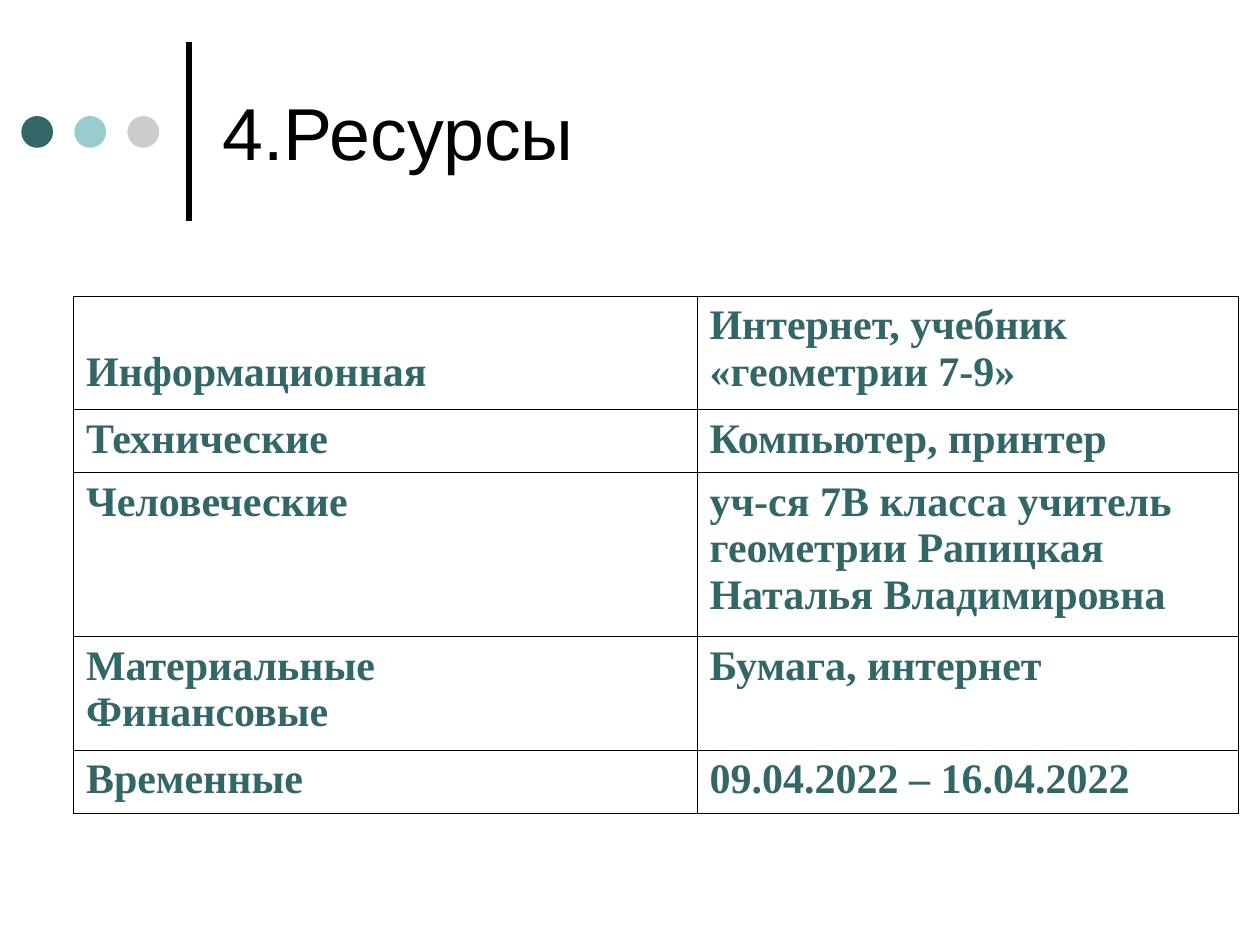
from lxml import etree
from pptx import Presentation
from pptx.dml.color import RGBColor
from pptx.enum.shapes import MSO_CONNECTOR, MSO_SHAPE
from pptx.enum.text import MSO_ANCHOR
from pptx.oxml.ns import qn
from pptx.util import Cm, Pt

STRAIGHT = MSO_CONNECTOR.STRAIGHT
OVAL = MSO_SHAPE.OVAL
TOP, MIDDLE, BOTTOM = MSO_ANCHOR.TOP, MSO_ANCHOR.MIDDLE, MSO_ANCHOR.BOTTOM

COLORS = {"black": "000000", "white": "FFFFFF", "teal": "336666",
          "aqua": "99CCCC", "gray": "CCCCCC"}


def rgb(name):
    return RGBColor.from_string(COLORS[name])


class SlideBuilder:
    """Adds styled elements to one slide."""

    title_font = "Arial"
    table_font = "Times New Roman"

    def __init__(self, slide):
        self.shapes = slide.shapes

    def style_text(self, tf, font, size, color, bold=False):
        for p in tf.paragraphs:
            for r in p.runs:
                r.font.name = font
                r.font.size = Pt(size)
                r.font.bold = bold
                r.font.color.rgb = rgb(color)

    def line(self, x1, y1, x2, y2, color, width):
        c = self.shapes.add_connector(STRAIGHT, Cm(x1), Cm(y1), Cm(x2), Cm(y2))
        c.line.color.rgb = rgb(color)
        c.line.width = Pt(width)
        etree.SubElement(c._element.spPr, qn("a:effectLst"))

    def dot(self, x, y, size, color):
        sp = self.shapes.add_shape(OVAL, Cm(x), Cm(y), Cm(size), Cm(size))
        sp.shadow.inherit = False
        sp.fill.solid()
        sp.fill.fore_color.rgb = rgb(color)
        sp.line.fill.background()

    def title(self, text, x, y, w, h):
        tf = self.shapes.add_textbox(Cm(x), Cm(y), Cm(w), Cm(h)).text_frame
        tf.word_wrap = True
        tf.vertical_anchor = MIDDLE
        tf.text = text
        self.style_text(tf, self.title_font, 42, "black")

    def borders(self, cell, color, width):
        tcPr = cell._tc.get_or_add_tcPr()
        for side in ("lnL", "lnR", "lnT", "lnB"):
            ln = etree.SubElement(tcPr, qn(f"a:{side}"), w=str(Pt(width)))
            fill = etree.SubElement(ln, qn("a:solidFill"))
            etree.SubElement(fill, qn("a:srgbClr"), val=COLORS[color])

    def table(self, rows, x, y, widths, heights):
        frame = self.shapes.add_table(len(rows), len(widths), Cm(x), Cm(y),
                                      Cm(sum(widths)), Cm(sum(heights)))
        table = frame.table
        table.first_row = table.horz_banding = False
        for column, width in zip(table.columns, widths):
            column.width = Cm(width)
        for row, height, texts in zip(table.rows, heights, rows):
            row.height = Cm(height)
            for cell, text in zip(row.cells, texts):
                self.borders(cell, "black", 0.45)
                cell.fill.solid()
                cell.fill.fore_color.rgb = rgb("white")
                cell.vertical_anchor = TOP
                cell.text_frame.text = text
                self.style_text(cell.text_frame, self.table_font, 24, "teal", True)
        return table


prs = Presentation()
prs.slide_width, prs.slide_height = Cm(25.4), Cm(19.05)
s = SlideBuilder(prs.slides.add_slide(prs.slide_layouts[6]))

s.line(3.81, 4.45, 3.81, 0.84, "black", 3)
for i, color in enumerate(("teal", "aqua", "gray")):
    s.dot(0.43 + 1.07 * i, 2.34, 0.64, color)
s.title("4.Ресурсы", 4.24, 0.53, 19.48, 4.24)

resources = [
    ("Информационная", "Интернет, учебник «геометрии 7-9»"),
    ("Технические", "Компьютер, принтер"),
    ("Человеческие", "уч-ся 7В класса учитель геометрии Рапицкая Наталья Владимировна"),
    ("Материальные\nФинансовые", "Бумага, интернет"),
    ("Временные", "09.04.2022 – 16.04.2022"),
]
table = s.table(resources, 1.48, 5.97, (12.57, 10.92), (2.29, 1.27, 3.3, 2.29, 1.27))
info_cell = table.cell(0, 0)
info_cell.vertical_anchor = BOTTOM
info_cell.margin_bottom = Cm(0.28)

prs.save("out.pptx")
